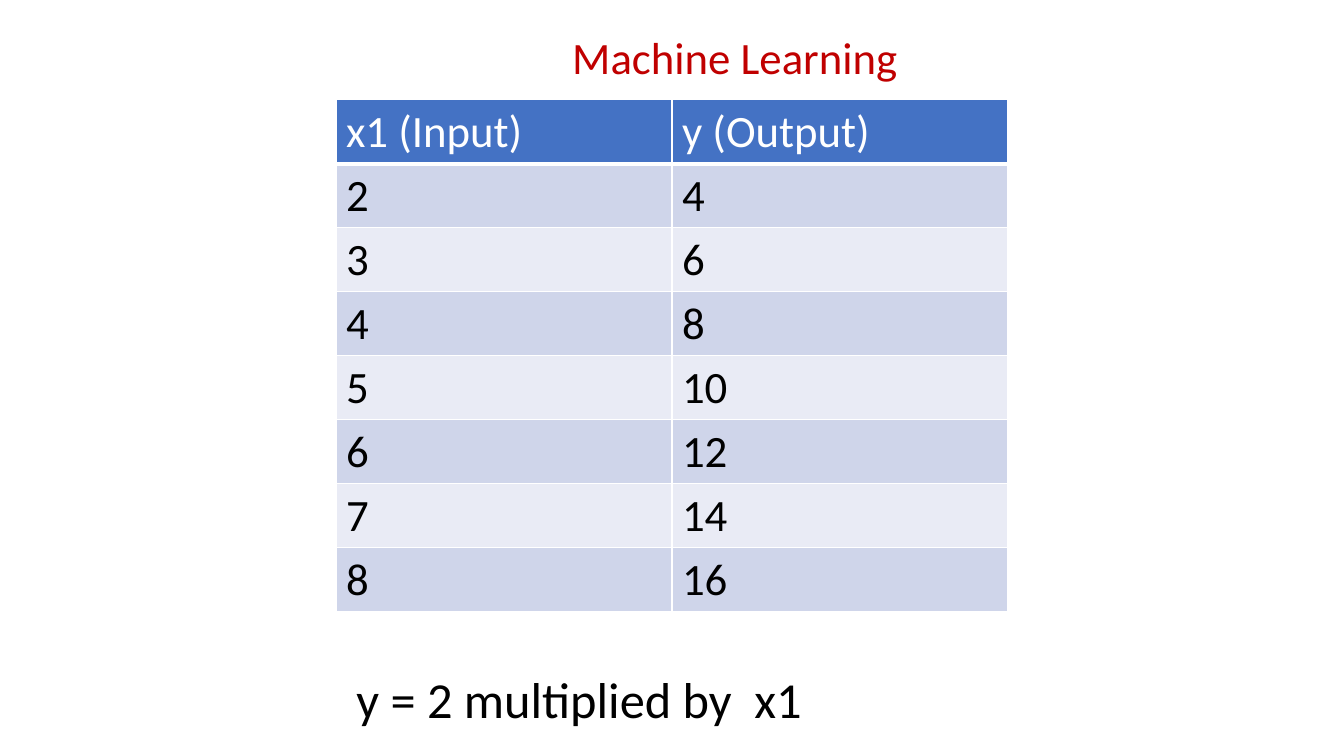
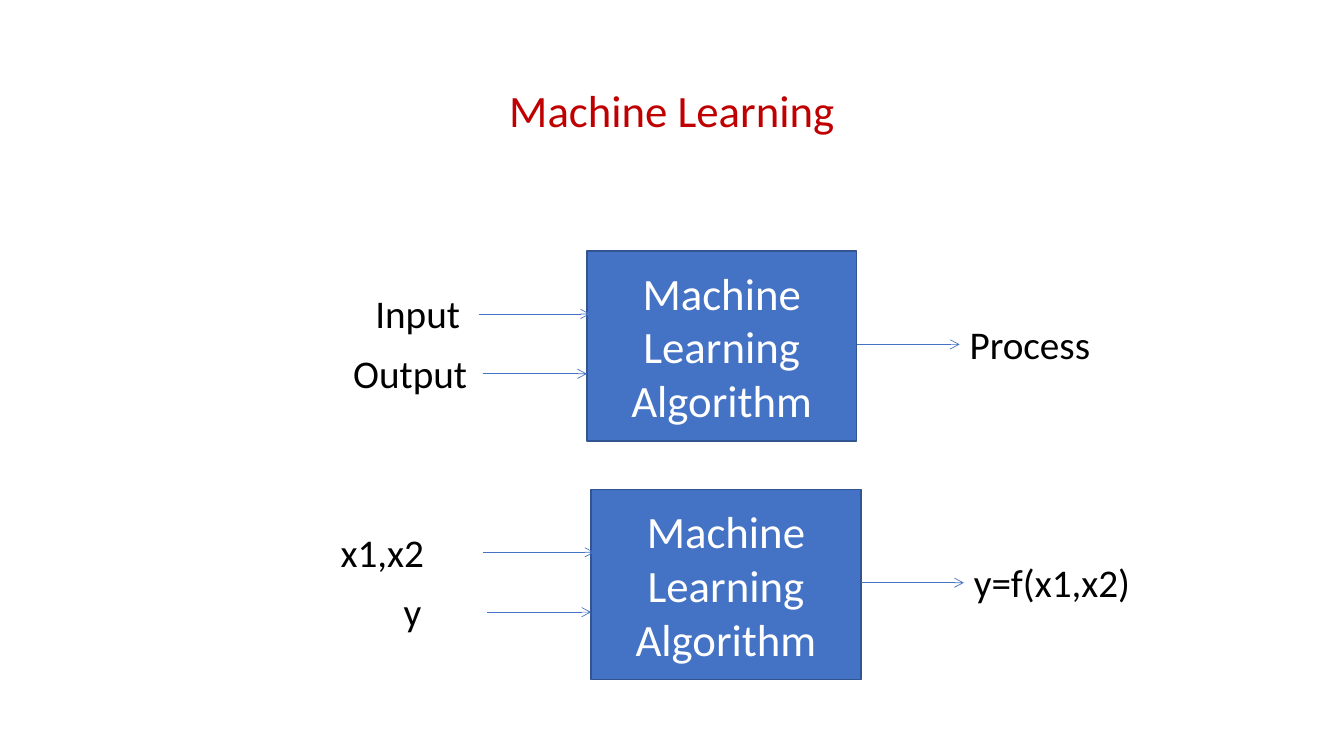
from dataclasses import dataclass

from pptx import Presentation, util as u
from pptx.dml.color import RGBColor
from pptx.enum import shapes, text
from pptx.oxml import ns, xmlchemy as xc

PX = 9525  # EMU in one px: the slide is 1280 x 720 px


@dataclass(frozen=True)
class Theme:
    font: str = "Calibri"
    title: str = "C00000"
    ink: str = "000000"
    paper: str = "FFFFFF"
    accent: str = "4472C4"
    outline: str = "325491"
    bands: tuple = ("CFD5EA", "E9EBF5")
    large: int = 36
    heading: int = 32
    label: int = 28


THEME = Theme()
BOX_W, BOX_H = 257, 181
LABEL_H = 55
LABEL_RISE = 28  # from the top of a label to its arrow


def px(*lengths):
    return [u.Emu(length * PX) for length in lengths]


def rgb(value):
    return RGBColor.from_string(value)


def write(frame, content, size=THEME.heading, color=THEME.ink,
          align=text.PP_ALIGN.LEFT, anchor=text.MSO_ANCHOR.TOP, spacing=None):
    """Put one formatted paragraph into a text frame."""
    frame.word_wrap = True
    frame.vertical_anchor = anchor
    paragraph = frame.paragraphs[0]
    paragraph.alignment = align
    paragraph.line_spacing = spacing
    run = paragraph.add_run()
    run.text = content
    run.font.name = THEME.font
    run.font.size = u.Pt(size)
    run.font.color.rgb = rgb(color)


def add_label(parent, box, content, **style):
    label = parent.add_textbox(*px(*box))
    write(label.text_frame, content, **style)


def add_title(slide, box):
    add_label(slide.shapes, box, "Machine Learning", color=THEME.title,
              align=text.PP_ALIGN.CENTER, anchor=text.MSO_ANCHOR.MIDDLE, spacing=0.9)


def add_arrow(parent, start, end, y):
    arrow = parent.add_connector(shapes.MSO_CONNECTOR.STRAIGHT, *px(start, y, end, y))
    arrow.line.color.rgb = rgb(THEME.accent)
    arrow.line.width = u.Pt(0.5)
    head = xc.OxmlElement("a:tailEnd")
    head.set("type", "arrow")
    arrow.line._get_or_add_ln().append(head)
    arrow._element.spPr.append(xc.OxmlElement("a:effectLst"))


def add_borders(cell, bottom):
    """Draw the four white edges of a cell; call before its fill is set."""
    properties = cell._tc.get_or_add_tcPr()
    for side, points in (("L", 1), ("R", 1), ("T", 1), ("B", bottom)):
        edge = xc.OxmlElement(f"a:ln{side}")
        edge.set("w", str(u.Pt(points)))
        fill = xc.OxmlElement("a:solidFill")
        color = xc.OxmlElement("a:srgbClr")
        color.set("val", THEME.paper)
        fill.append(color)
        edge.append(fill)
        properties.append(edge)


def add_data_table(slide, box, rows):
    table = slide.shapes.add_table(len(rows), len(rows[0]), *px(*box)).table
    for r, values in enumerate(rows):
        header = r == 0
        for c, value in enumerate(values):
            cell = table.cell(r, c)
            add_borders(cell, bottom=3 if header else 1)
            cell.fill.solid()
            cell.fill.fore_color.rgb = rgb(THEME.accent if header else THEME.bands[(r - 1) % 2])
            write(cell.text_frame, str(value), color=THEME.paper if header else THEME.ink)


def add_algorithm(slide, left, top, inputs, output):
    """Algorithm box at (left, top), two arrows in and one out.

    inputs holds (text, offset from the box, width); output holds (text, width).
    """
    parts = slide.shapes.add_group_shape().shapes

    # Algorithm box
    algorithm = parts.add_shape(shapes.MSO_SHAPE.RECTANGLE, *px(left, top, BOX_W, BOX_H))
    algorithm.shadow.inherit = False
    algorithm.fill.solid()
    algorithm.fill.fore_color.rgb = rgb(THEME.accent)
    algorithm.line.color.rgb = rgb(THEME.outline)
    algorithm.line.width = u.Pt(1)
    write(algorithm.text_frame, "Machine Learning Algorithm", color=THEME.paper,
          align=text.PP_ALIGN.CENTER, anchor=text.MSO_ANCHOR.MIDDLE)

    # Inputs
    arrows_in = ((-103, 3, 60), (-99, 0, 117))
    for (content, offset, width), (start, end, drop) in zip(inputs, arrows_in):
        y = top + drop
        add_arrow(parts, left + start, left + end, y)
        add_label(parts, (left + offset, y - LABEL_RISE, width, LABEL_H), content,
                  size=THEME.label)

    # Output
    content, width = output
    tip, y = left + BOX_W + 98, top + 89
    add_arrow(parts, left + BOX_W, tip, y)
    add_label(parts, (tip, y - LABEL_RISE, width, LABEL_H), content, size=THEME.label)


def build_table_slide(slide):
    add_title(slide, (304, -3, 792, 120))
    rows = [("x1 (Input)", "y (Output)")] + [(x, 2 * x) for x in range(2, 9)]
    add_data_table(slide, (320, 95, 640, 488), rows)
    add_label(slide.shapes, (330, 632, 681, 68), "y = 2 multiplied by  x1", size=THEME.large)


def build_algorithm_slide(slide):
    add_title(slide, (88, 38, 1104, 139))
    add_algorithm(slide, 559, 239, (("Input", -211, 106), ("Output", -232, 174)),
                  ("Process", 174))
    add_algorithm(slide, 563, 466, (("x1,x2", -248, 142), ("y", -188, 70)),
                  ("y=f(x1,x2)", 191))


def main():
    deck = Presentation()
    deck.slide_width, deck.slide_height = px(1280, 720)
    for build in (build_table_slide, build_algorithm_slide):
        build(deck.slides.add_slide(deck.slide_layouts[6]))
    deck.save("out.pptx")


if __name__ == "__main__":
    main()
